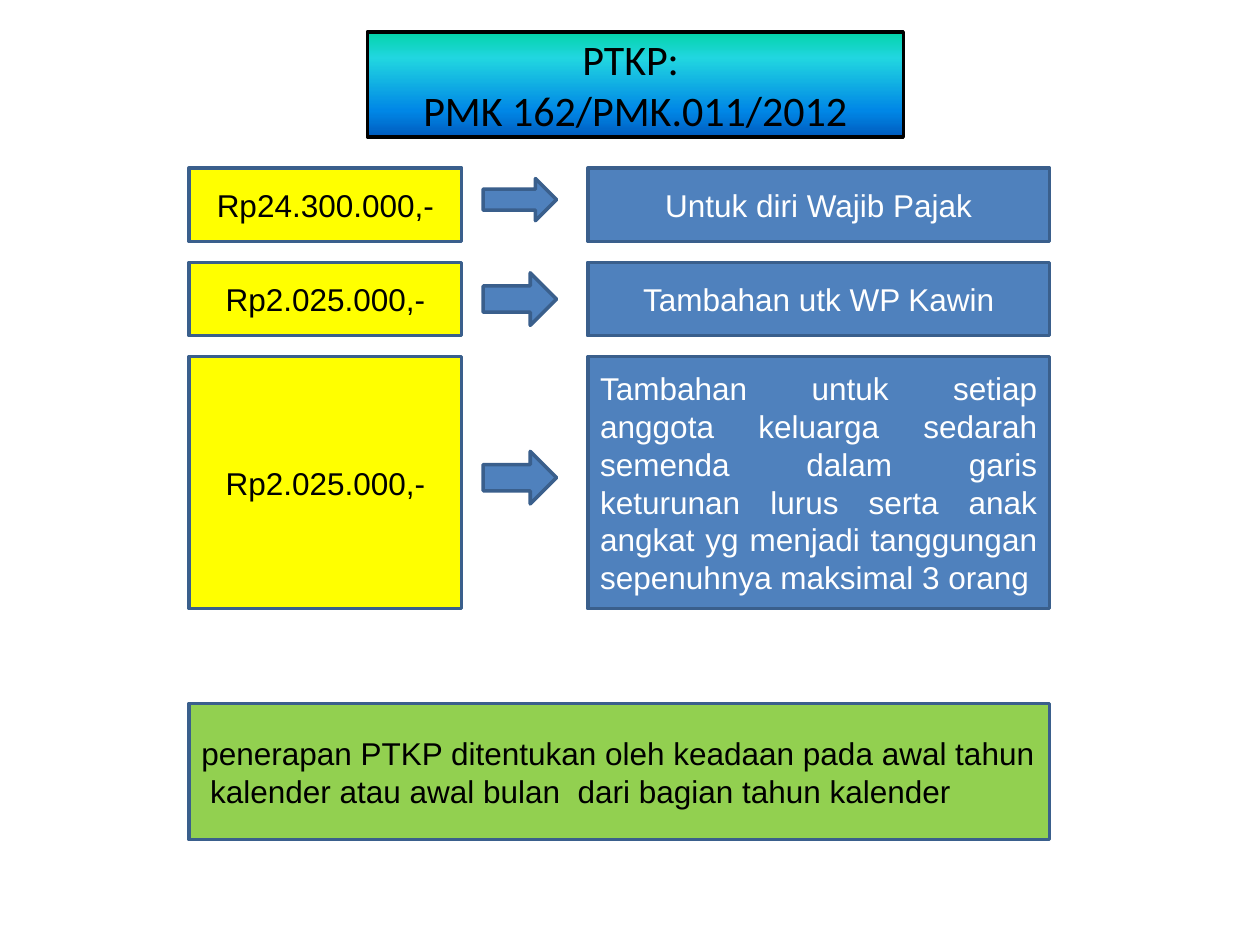
from lxml.etree import SubElement
from pptx import Presentation
from pptx.dml.color import RGBColor
from pptx.enum.shapes import MSO_SHAPE as SHAPE
from pptx.enum.text import MSO_ANCHOR as ANCHOR, MSO_AUTO_SIZE as AUTO, PP_ALIGN as ALIGN
from pptx.oxml.ns import qn
from pptx.util import Cm, Pt

BLACK = RGBColor(0x00, 0x00, 0x00)
WHITE = RGBColor(0xFF, 0xFF, 0xFF)
YELLOW = RGBColor(0xFF, 0xFF, 0x00)
BLUE = RGBColor(0x4F, 0x81, 0xBD)
BORDER = RGBColor(0x3A, 0x5F, 0x8C)
GREEN = RGBColor(0x92, 0xD0, 0x50)
TITLE_STOPS = [
    (0, RGBColor(0x03, 0xD4, 0xA8)),
    (25, RGBColor(0x21, 0xD6, 0xE0)),
    (75, RGBColor(0x00, 0x87, 0xE6)),
    (100, RGBColor(0x00, 0x5C, 0xBF)),
]

BODY_FONT = {"name": "Arial", "size": Pt(18)}
TITLE_FONT = {"name": "Calibri", "size": Pt(24)}

# Lengths in centimetres
LEFT, AMOUNT_W = 3.81, 5.5
ARROW_LEFT, ARROW_W = 9.74, 1.48
USE_LEFT, USE_W = 11.85, 9.31
ROWS_TOP, ROW_GAP = 3.39, 0.42

# amount, use, alignment of use, row height, arrow top, arrow height
ROWS = [
    ("Rp24.300.000,-", "Untuk diri Wajib Pajak", ALIGN.CENTER, 1.48, 3.6, 0.85),
    ("Rp2.025.000,-", "Tambahan utk WP Kawin", ALIGN.CENTER, 1.48, 5.5, 1.06),
    ("Rp2.025.000,-",
     "Tambahan untuk setiap anggota keluarga sedarah semenda dalam garis keturunan "
     "lurus serta anak angkat yg menjadi tanggungan sepenuhnya maksimal 3 orang",
     ALIGN.JUSTIFY, 5.08, 9.1, 1.06),
]
NOTE = ("penerapan PTKP ditentukan oleh keadaan pada awal tahun  kalender "
        "atau awal bulan  dari bagian tahun kalender")


def set_text(sp, lines, font, color, align):
    tf = sp.text_frame
    tf.word_wrap = True
    tf.auto_size = AUTO.NONE
    tf.vertical_anchor = ANCHOR.MIDDLE
    tf.text = "\n".join(lines)
    for p in tf.paragraphs:
        p.alignment = align
        for r in p.runs:
            for name, value in font.items():
                setattr(r.font, name, value)
            r.font.color.rgb = color


def set_line(sp, color):
    sp.line.color.rgb = color
    sp.line.width = Pt(2)


def add_block(slide, kind, box, fill):
    sp = slide.shapes.add_shape(kind, *map(Cm, box))
    sp.shadow.inherit = False
    sp.fill.solid()
    sp.fill.fore_color.rgb = fill
    set_line(sp, BORDER)
    return sp


def add_box(slide, box, text, fill, color, align=ALIGN.CENTER):
    sp = add_block(slide, SHAPE.RECTANGLE, box, fill)
    set_text(sp, [text], BODY_FONT, color, align)


def add_gradient(sp_pr, stops):
    """Fill from top to bottom through (percent, colour) stops."""
    grad = SubElement(sp_pr, qn("a:gradFill"), rotWithShape="1")
    stop_list = SubElement(grad, qn("a:gsLst"))
    for percent, color in stops:
        stop = SubElement(stop_list, qn("a:gs"), pos=str(percent * 1000))
        SubElement(stop, qn("a:srgbClr"), val=str(color))
    SubElement(grad, qn("a:lin"), ang="5400000", scaled="0")


def format_title(title):
    box = dict(left=7.41, top=0.64, width=10.8, height=2.12)
    for name, value in box.items():
        setattr(title, name, Cm(value))
    sp_pr = title.element.spPr
    geometry = SubElement(sp_pr, qn("a:prstGeom"), prst="roundRect")
    SubElement(geometry, qn("a:avLst"))
    add_gradient(sp_pr, TITLE_STOPS)
    set_line(title, BLACK)
    set_text(title, ["PTKP: ", "PMK 162/PMK.011/2012"], TITLE_FONT, BLACK, ALIGN.CENTER)


def add_rows(slide):
    top = ROWS_TOP
    for amount, use, align, height, arrow_top, arrow_h in ROWS:
        add_box(slide, (LEFT, top, AMOUNT_W, height), amount, YELLOW, BLACK)
        add_block(slide, SHAPE.RIGHT_ARROW, (ARROW_LEFT, arrow_top, ARROW_W, arrow_h), BLUE)
        add_box(slide, (USE_LEFT, top, USE_W, height), use, BLUE, WHITE, align)
        top += height + ROW_GAP


def main():
    prs = Presentation()
    prs.slide_width, prs.slide_height = Cm(25.4), Cm(19.05)
    slide = prs.slides.add_slide(prs.slide_layouts[5])
    format_title(slide.shapes.title)
    add_rows(slide)
    note_w = USE_LEFT + USE_W - LEFT
    add_box(slide, (LEFT, 14.18, note_w, 2.75), NOTE, GREEN, BLACK, ALIGN.LEFT)
    prs.save("out.pptx")


if __name__ == "__main__":
    main()
